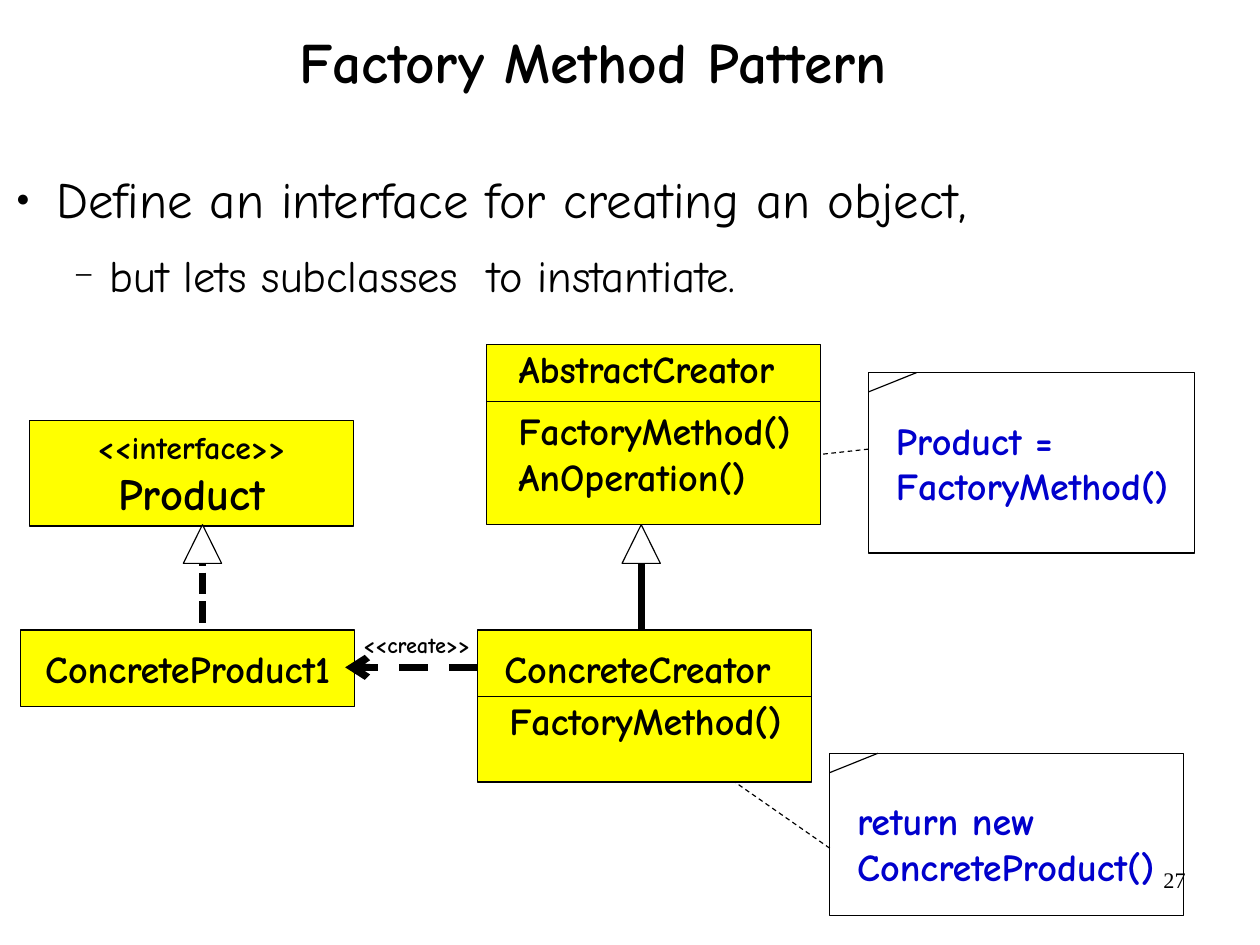
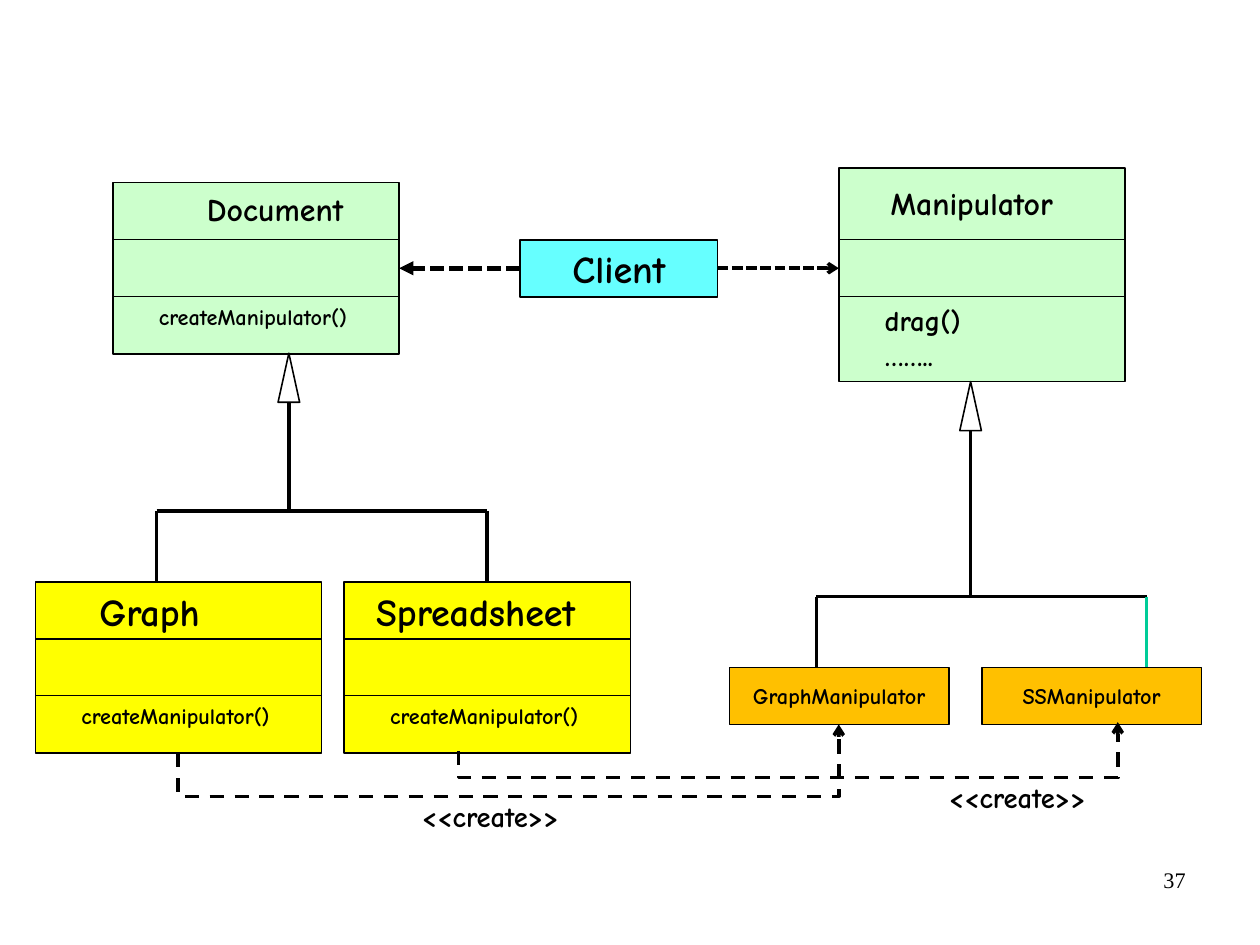
import pptx
import pptx.dml.color
import pptx.enum.dml
import pptx.enum.shapes
import pptx.enum.text
import pptx.oxml
import pptx.oxml.ns
import pptx.util

Cm = pptx.util.Cm
Pt = pptx.util.Pt
Shape = pptx.enum.shapes.MSO_SHAPE
Connector = pptx.enum.shapes.MSO_CONNECTOR
Dash = pptx.enum.dml.MSO_LINE_DASH_STYLE
Align = pptx.enum.text.PP_ALIGN
Anchor = pptx.enum.text.MSO_ANCHOR

COMIC = "Comic Neue"
SERIF = "Times New Roman"
BLACK = "000000"
WHITE = "FFFFFF"
YELLOW = "FFFF00"
GREEN = "CCFFCC"
CYAN = "66FFFF"
ORANGE = "FFC000"
BLUE = "0000CC"
TEAL = "00CC98"

CLASS_WIDTH = 7.42
SMALL_CLASS_WIDTH = 6.36
METHOD_INDENT = 0.77


def colour(value):
    return pptx.dml.color.RGBColor.from_string(value)


def add_xml(parent, tag, **attributes):
    child = pptx.oxml.parse_xml(f"<a:{tag} {pptx.oxml.ns.nsdecls('a')}/>")
    for name, value in attributes.items():
        child.set(name, str(value))
    parent.append(child)
    return child


def place(shape, left, top, width, height):
    shape.left, shape.top = Cm(left), Cm(top)
    shape.width, shape.height = Cm(width), Cm(height)


def write(frame, text, size=24, font=COMIC, color=BLACK, bold=True,
          align=Align.LEFT, anchor=Anchor.TOP, inset=(0.25, 0.13), spacing=None):
    frame.word_wrap = True
    frame.vertical_anchor = anchor
    frame.margin_left = frame.margin_right = Cm(inset[0])
    frame.margin_top = frame.margin_bottom = Cm(inset[1])
    lines = [text] if isinstance(text, str) else text
    sizes = size if isinstance(size, tuple) else (size,) * len(lines)
    for index, (line, points) in enumerate(zip(lines, sizes)):
        para = frame.paragraphs[0] if index == 0 else frame.add_paragraph()
        para.alignment = align
        if spacing:
            para.line_spacing = spacing
        span = para.add_run()
        span.text = line
        span.font.name = font
        span.font.size = Pt(points)
        span.font.bold = bold
        span.font.color.rgb = colour(color)


def add_label(page, text, left, top, width=7, height=1.2, **style):
    box = page.shapes.add_textbox(Cm(left), Cm(top), Cm(width), Cm(height))
    write(box.text_frame, text, **style)


def add_box(page, left, top, width, height, fill=None, text=None,
            weight=0.75, kind=Shape.RECTANGLE, **style):
    box = page.shapes.add_shape(kind, Cm(left), Cm(top), Cm(width), Cm(height))
    box.shadow.inherit = False
    if fill:
        box.fill.solid()
        box.fill.fore_color.rgb = colour(fill)
    else:
        box.fill.background()
    box.line.color.rgb = colour(BLACK)
    box.line.width = Pt(weight)
    if text:
        write(box.text_frame, text, align=Align.CENTER, anchor=Anchor.MIDDLE, **style)


def add_line(page, start, end, weight=0.75, color=BLACK, dash=None, tail=None,
             kind=Connector.STRAIGHT):
    points = [Cm(value) for value in (*start, *end)]
    line = page.shapes.add_connector(kind, *points)
    line.line.color.rgb = colour(color)
    line.line.width = Pt(weight)
    if dash:
        line.line.dash_style = dash
    properties = line._element.spPr
    if tail:
        add_xml(properties.ln, "tailEnd", type=tail)
    add_xml(properties, "effectLst")
    return line


def add_create_arrow(page, start, end, low):
    line = add_line(page, start, end, 2.25, dash=Dash.DASH, tail="arrow",
                    kind=Connector.ELBOW)
    rise, run = start[1] - end[1], end[0] - start[0]
    middle_x, middle_y = (start[0] + end[0]) / 2, (start[1] + end[1]) / 2
    place(line, middle_x - rise / 2, middle_y - run / 2, rise, run)
    frame = line._element.spPr.xfrm
    for name, value in (("rot", "5400000"), ("flipH", "1"), ("flipV", "1")):
        frame.set(name, value)
    geometry = line._element.spPr.find(pptx.oxml.ns.qn("a:prstGeom"))
    for guides in list(geometry):
        geometry.remove(guides)
    bend = round(-(low - start[1]) / rise * 100000)
    add_xml(add_xml(geometry, "avLst"), "gd", name="adj1", fmla=f"val {bend}")


def add_triangle(page, middle, top, width, height, weight):
    add_box(page, middle - width / 2, top, width, height, WHITE,
            weight=weight, kind=Shape.ISOSCELES_TRIANGLE)


def add_class(page, left, top, width, height, fill, dividers, weight=0.75):
    add_box(page, left, top, width, height, fill, weight=weight)
    for y in dividers:
        add_line(page, (left, y), (left + width, y))


def add_note(page, left, top, width, height, text):
    add_box(page, left, top, width, height)
    add_line(page, (left + 1.07, top), (left, top + 0.43))
    add_label(page, text, left + 0.36, top + 0.86, 7.4, 2.3, color=BLUE)


def add_creator(page, left, top, height, name_height, divider, methods, methods_top):
    add_class(page, left, top, CLASS_WIDTH, height, YELLOW, [divider])
    add_label(page, "ConcreteCreator" if len(methods) == 1 else "AbstractCreator",
              left + 0.27, top, 6.55, name_height,
              align=Align.CENTER, anchor=Anchor.MIDDLE)
    add_label(page, methods, left + 0.45, methods_top)


def add_inheritance(page, stem, top, bar, left, bottom, right_color=BLACK):
    right = left + 7.34
    add_line(page, (left, bar), (right, bar), 2.25)
    add_line(page, (left, bar), (left, bottom), 2.25)
    add_line(page, (right, bar), (right, bottom), 2.25, right_color)
    add_line(page, (stem, bar), (stem, top + 1.09), 2.25)
    add_triangle(page, stem, top, 0.48, 1.09, 1)


def add_page_number(page, number):
    add_label(page, number, 20.07, 19.13, 6.53, 1.45, size=14, font=SERIF,
              bold=False, align=Align.RIGHT)


def add_title(page, text):
    title = page.shapes.title
    place(title, 1.27, 0, 23.8, 2.9)
    write(title.text_frame, text, size=36, align=Align.CENTER,
          anchor=Anchor.MIDDLE, inset=(0, 0), spacing=0.88)


def add_bullets(page, lines):
    body = page.placeholders[1]
    place(body, 0.08, 3.73, 27.9, 4)
    write(body.text_frame, lines, size=(32, 28), bold=False, inset=(0, 0))
    marks = (("●", 45, 1.17, 0.89), ("−", 75, 2.36, 0.79))
    for level, (mark, percent, margin, hang) in enumerate(marks):
        para = body.text_frame.paragraphs[level]
        para.level = level
        para.space_before = Pt(6.1 if level else 0)
        para.space_after = Pt(6.1)
        properties = para._p.get_or_add_pPr()
        properties.set("marL", str(Cm(margin)))
        properties.set("indent", str(-Cm(hang)))
        add_xml(add_xml(properties, "buClr"), "srgbClr", val=BLACK)
        add_xml(properties, "buSzPct", val=percent * 1000)
        add_xml(properties, "buFont", typeface=SERIF)
        add_xml(properties, "buChar", char=mark)


def build_pattern(deck):
    page = deck.slides.add_slide(deck.slide_layouts[1])
    add_page_number(page, "27")
    add_title(page, "Factory Method Pattern")
    add_bullets(page, ["Define an interface for creating an object,",
                       "but lets subclasses  to instantiate."])

    add_note(page, 19.3, 8.28, 7.24, 4.01, ["Product =", "FactoryMethod()"])
    add_note(page, 18.44, 16.74, 7.87, 3.61, ["return new", "ConcreteProduct()"])
    add_line(page, (19.3, 9.98), (17.4, 10.19), dash=Dash.DASH, tail="oval")
    add_line(page, (18.44, 18.85), (15.7, 16.94), dash=Dash.DASH, tail="oval")

    add_creator(page, 10.82, 7.65, 4.01, 1.07, 8.92,
                ["FactoryMethod()", "AnOperation()"], 8.92)
    add_creator(page, 10.62, 14, 3.38, 1.7, 15.47, ["FactoryMethod()"], 15.37)
    add_box(page, 0.66, 9.35, 7.19, 2.34, YELLOW, ["<<interface>>", "Product"],
            size=(20, 28))
    add_box(page, 0.46, 14, CLASS_WIDTH, 1.7, YELLOW, "ConcreteProduct1")

    add_line(page, (10.62, 14.83), (7.67, 14.83), 4.5, dash=Dash.DASH, tail="arrow")
    add_label(page, "<<create>>", 7.82, 13.89, 3.2, 0.86, size=14)
    for middle, dash in ((4.5, Dash.SQUARE_DOT), (14.25, None)):
        add_line(page, (middle, 12.09), (middle, 14), 4.5, dash=dash)
        add_triangle(page, middle, 11.66, 0.85, 0.86, 0.75)


def build_example(deck):
    page = deck.slides.add_slide(deck.slide_layouts[6])
    add_page_number(page, "37")

    create = "createManipulator()"
    classes = (
        (2.51, 4.06, 3.81, GREEN, 5.33, "Document", 1.84, 0.02, 20, create, 14),
        (0.79, 12.93, 3.81, YELLOW, 14.2, "Graph", 1.17, 0.02, 24, create, 14),
        (7.65, 12.93, 3.81, YELLOW, 14.2, "Spreadsheet", 0.46, 0.02, 24, create, 14),
        (18.64, 3.73, 4.75, GREEN, 5.33, "Manipulator", 0.9, 0.23, 20,
         ["drag()", "…….."], 18),
    )
    for (left, top, height, fill, divider, name, indent, drop, size,
         methods, method_size) in classes:
        second = divider + 1.26
        add_class(page, left, top, SMALL_CLASS_WIDTH, height, fill,
                  [divider, second], weight=1)
        add_label(page, name, left + indent, top + drop, size=size)
        add_label(page, methods, left + METHOD_INDENT, second + 0.02, size=method_size)

    for left, top, width, fill, name, size in (
            (16.21, 14.83, 4.88, ORANGE, "GraphManipulator", 14),
            (21.82, 14.83, 4.88, ORANGE, "SSManipulator", 14),
            (11.56, 5.33, 4.39, CYAN, "Client", 24)):
        add_box(page, left, top, width, 1.27, fill, name, weight=1, size=size)

    add_line(page, (11.56, 5.96), (8.87, 5.96), 3, dash=Dash.SQUARE_DOT, tail="triangle")
    add_line(page, (15.95, 5.96), (18.64, 5.96), 2.25, dash=Dash.SQUARE_DOT, tail="arrow")
    add_inheritance(page, 6.42, 7.85, 11.35, 3.48, 12.93)
    add_inheritance(page, 21.57, 8.48, 13.26, 18.14, 14.83, TEAL)

    add_create_arrow(page, (3.96, 16.74), (18.64, 16.1), 17.7)
    add_create_arrow(page, (10.19, 16.69), (24.84, 16.05), 17.28)
    for left, top in ((9.12, 17.63), (20.83, 17.2)):
        add_label(page, "<<create>>", left, top, 4, 1.02, size=18)


def main():
    deck = pptx.Presentation()
    deck.slide_width, deck.slide_height = Cm(28), Cm(21)
    build_pattern(deck)
    build_example(deck)
    deck.save("out.pptx")


if __name__ == "__main__":
    main()
